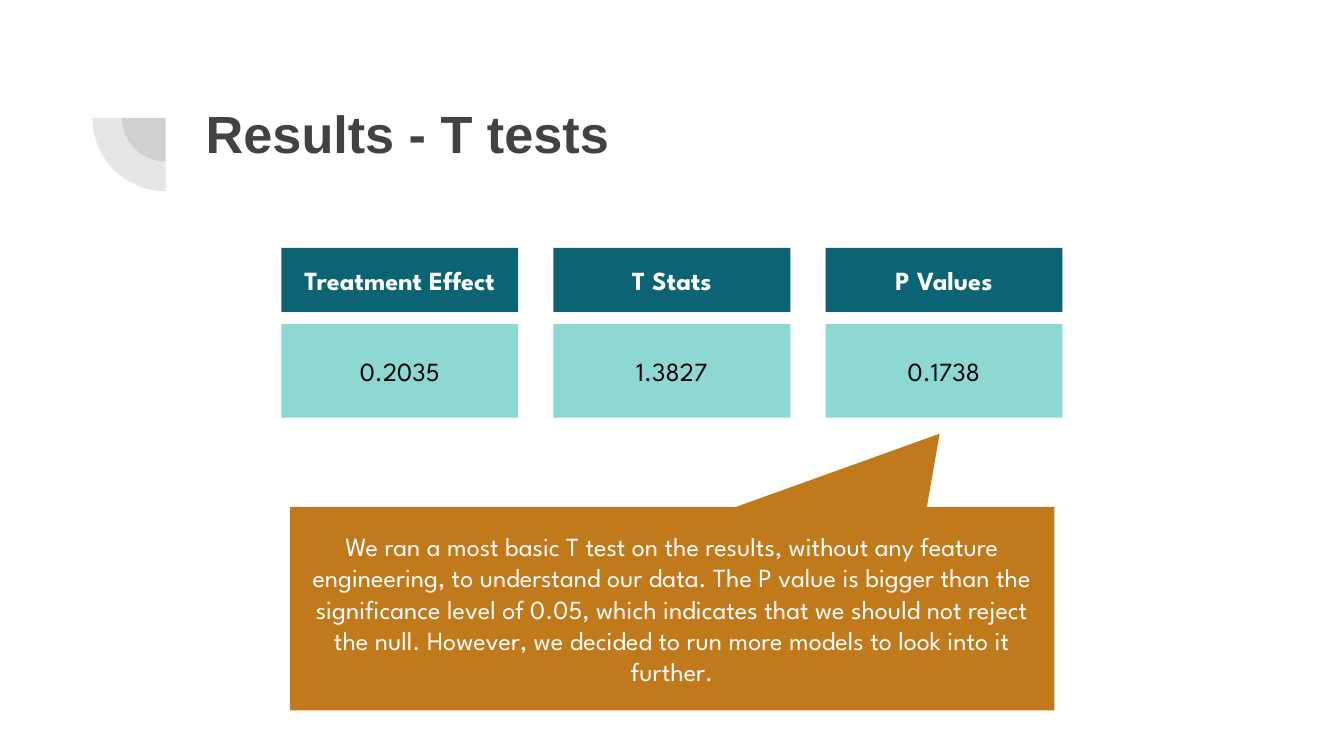
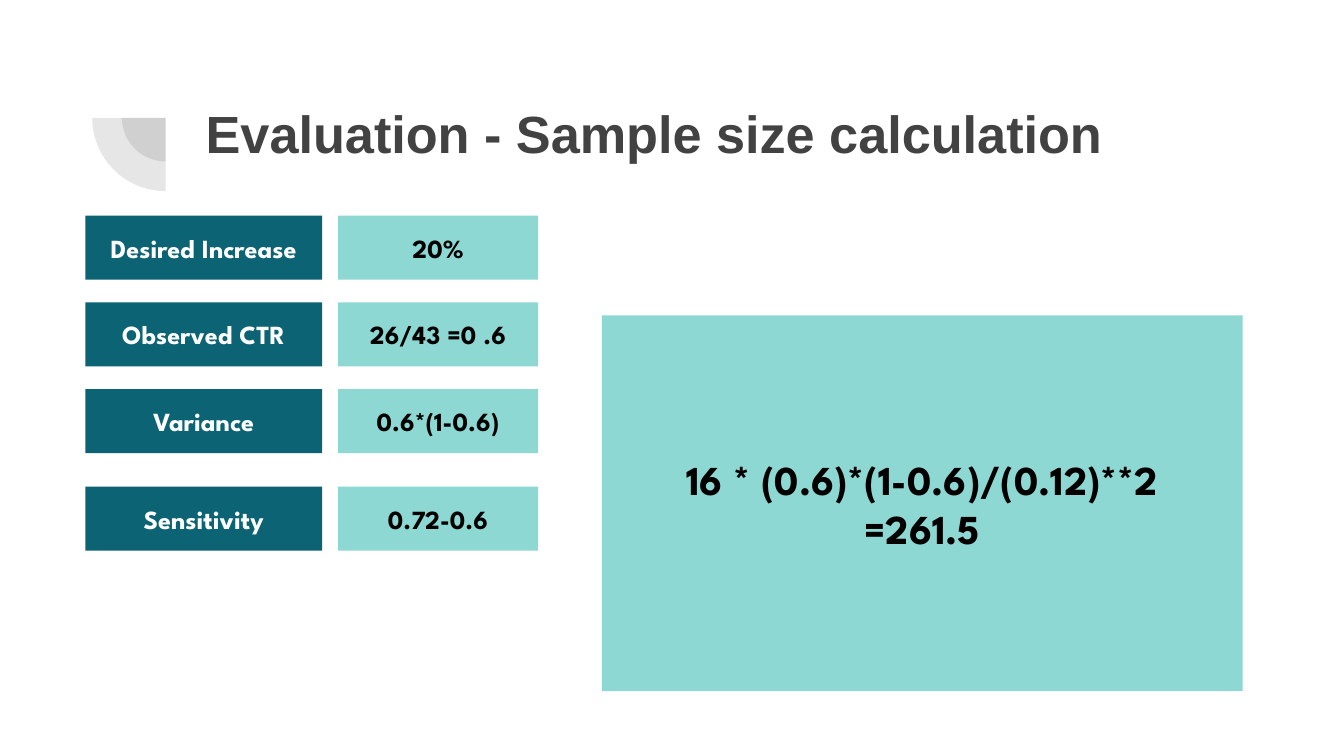
from lxml.etree import SubElement
from pptx import Presentation
from pptx.dml.color import RGBColor
from pptx.enum.shapes import MSO_SHAPE
from pptx.enum.text import MSO_ANCHOR, MSO_AUTO_SIZE, PP_ALIGN
from pptx.oxml.ns import qn
from pptx.util import Pt

COLORS = {
    "ink": "424242",
    "header": "0B6374",
    "value": "8DD8D3",
    "callout": "C0791B",
    "white": "FFFFFF",
    "black": "000000",
}
TITLE_FONT = "Arial"
BODY_FONT = "League Spartan"
INSET = 7.2
TITLE_BOX = (103, 46.8, 553.7, 78.5)
PIE_CENTER = (88.7, 63.1)
PIE_DIAMETERS = (46.8, 78.6)

RESULTS_TITLE = "Results - T tests"
RESULTS = [("Treatment Effect", "0.2035"), ("T Stats", "1.3827"), ("P Values", "0.1738")]
CONCLUSION = (
    "We ran a most basic T test on the results, without any feature engineering, "
    "to understand our data. The P value is bigger than the significance level of 0.05, "
    "which indicates that we should not reject the null. However, we decided to run "
    "more models to look into it further."
)

SAMPLE_TITLE = "Evaluation - Sample size calculation"
SAMPLE_INPUTS = [
    ("Desired Increase", "20%", 115.5),
    ("Observed CTR", "26/43 =0 .6", 162),
    ("Variance", "0.6*(1-0.6)", 208.5),
    ("Sensitivity", "0.72-0.6", 260.8),
]
FORMULA = ["16 * (0.6)*(1-0.6)/(0.12)**2", "=261.5"]

HEADER_WIDTH, HEADER_HEIGHT = 126.9, 34.3


def color(name):
    return RGBColor.from_string(COLORS[name])


def prepare_frame(text_frame, anchor):
    text_frame.word_wrap = True
    text_frame.auto_size = MSO_AUTO_SIZE.NONE
    text_frame.vertical_anchor = anchor
    text_frame.margin_left = text_frame.margin_right = Pt(INSET)
    text_frame.margin_top = text_frame.margin_bottom = Pt(INSET)


def add_text(paragraph, text, font_name, size, font_color, bold, alignment):
    paragraph.alignment = alignment
    run = paragraph.add_run()
    run.text = text
    run.font.name = font_name
    run.font.size = Pt(size)
    run.font.bold = bold
    run.font.color.rgb = color(font_color)


def add_plain_shape(slide, kind, box, fill):
    shape = slide.shapes.add_shape(kind, *map(Pt, box))
    shape.shadow.inherit = False
    shape.fill.solid()
    shape.fill.fore_color.rgb = color(fill)
    shape.line.fill.background()
    return shape


def add_box(slide, box, lines, fill, font_color="black", bold=True, size=14,
            kind=MSO_SHAPE.RECTANGLE):
    shape = add_plain_shape(slide, kind, box, fill)
    text_frame = shape.text_frame
    prepare_frame(text_frame, MSO_ANCHOR.MIDDLE)
    for index, line in enumerate(lines):
        paragraph = text_frame.add_paragraph() if index else text_frame.paragraphs[0]
        add_text(paragraph, line, BODY_FONT, size, font_color, bold, PP_ALIGN.CENTER)
    return shape


def add_header(slide, left, top, label):
    add_box(slide, (left, top, HEADER_WIDTH, HEADER_HEIGHT), [label], "header", "white")


def add_quarter_circle(slide, diameter):
    left, top = (center - diameter / 2 for center in PIE_CENTER)
    pie = add_plain_shape(slide, MSO_SHAPE.PIE, (left, top, diameter, diameter), "ink")
    pie.rotation = 270
    pie.adjustments[0] = 108
    pie.adjustments[1] = 162
    fill_color = pie.fill._xPr.find(qn("a:solidFill"))[0]
    SubElement(fill_color, qn("a:alpha"), val="13000")


def add_titled_slide(presentation, title_text):
    slide = presentation.slides.add_slide(presentation.slide_layouts[5])
    title = slide.shapes.title
    title.left, title.top, title.width, title.height = map(Pt, TITLE_BOX)
    prepare_frame(title.text_frame, MSO_ANCHOR.TOP)
    add_text(title.text_frame.paragraphs[0], title_text, TITLE_FONT, 28, "ink", True,
             PP_ALIGN.LEFT)
    for diameter in PIE_DIAMETERS:
        add_quarter_circle(slide, diameter)
    return slide


def build_results(presentation):
    slide = add_titled_slide(presentation, RESULTS_TITLE)
    first_left, column_step = 150.7, 145.8
    for column, (label, value) in enumerate(RESULTS):
        left = first_left + column * column_step
        add_header(slide, left, 132.9, label)
        add_box(slide, (left, 173.6, HEADER_WIDTH, 50.2), [value], "value", bold=False)
    callout = add_box(slide, (155.4, 271.6, 409.4, 109), [CONCLUSION], "callout", "white",
                      bold=False, kind=MSO_SHAPE.ROUNDED_RECTANGULAR_CALLOUT)
    for index, adjustment in enumerate((0.35, -0.86, 0)):
        callout.adjustments[index] = adjustment


def build_sample_size(presentation):
    slide = add_titled_slide(presentation, SAMPLE_TITLE)
    for label, value, top in SAMPLE_INPUTS:
        add_header(slide, 45.7, top, label)
        add_box(slide, (181.1, top, 107.2, HEADER_HEIGHT), [value], "value")
    add_box(slide, (322.4, 169, 343.4, 201.3), FORMULA, "value", size=22)


def main():
    presentation = Presentation()
    presentation.slide_width = Pt(720)
    presentation.slide_height = Pt(405)
    build_results(presentation)
    build_sample_size(presentation)
    presentation.save("out.pptx")


if __name__ == "__main__":
    main()
